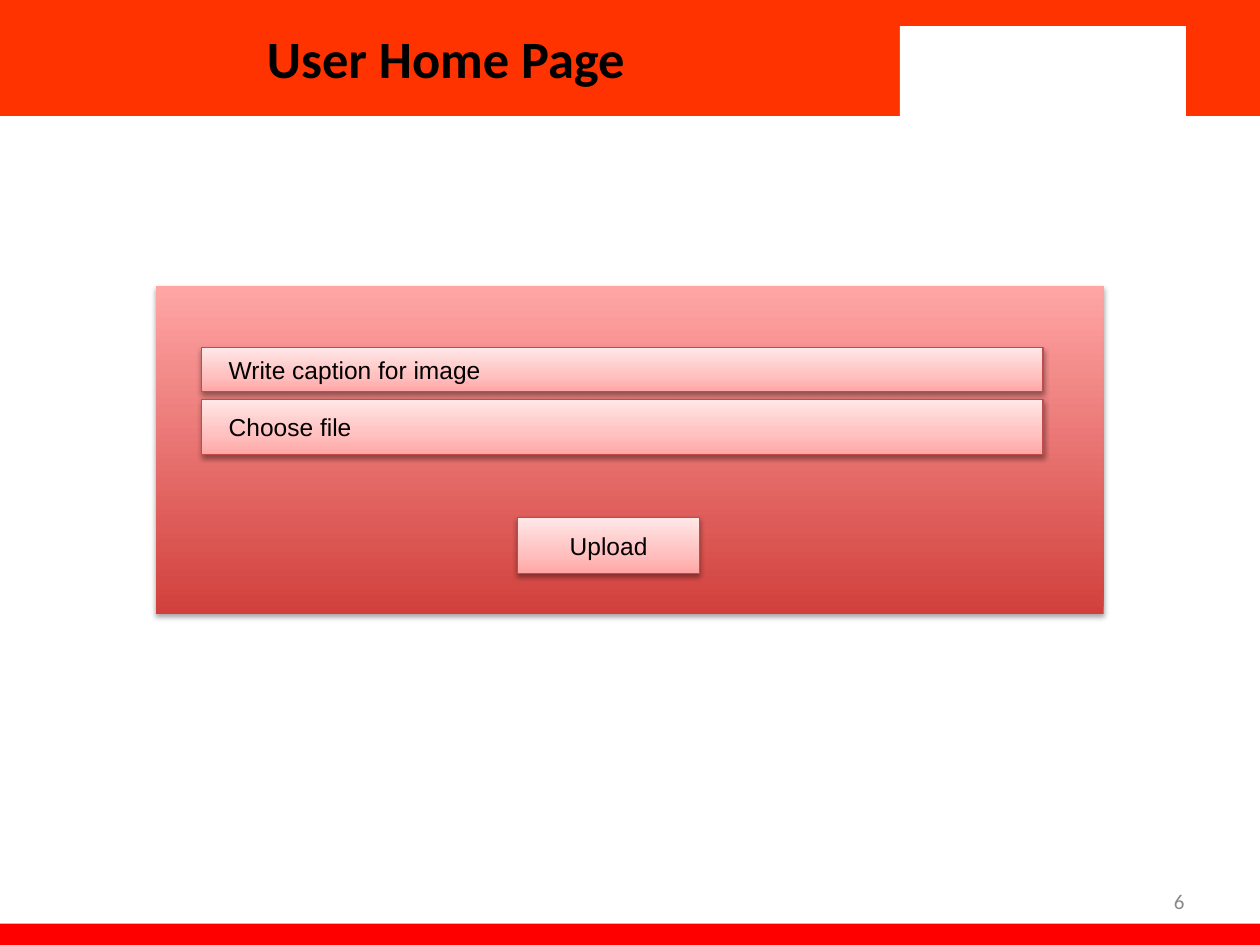
from lxml import etree
from pptx import Presentation
from pptx.dml.color import RGBColor
from pptx.enum.shapes import MSO_SHAPE
from pptx.enum.text import MSO_ANCHOR, PP_ALIGN
from pptx.oxml import parse_xml
from pptx.oxml.ns import nsdecls
from pptx.util import Cm, Pt

RECTANGLE = MSO_SHAPE.RECTANGLE
MIDDLE = MSO_ANCHOR.MIDDLE
LEFT, CENTER, RIGHT = PP_ALIGN.LEFT, PP_ALIGN.CENTER, PP_ALIGN.RIGHT

THEME = {
    "header": "FF3300", "footer": "FF0000", "white": "FFFFFF",
    "text": "000000", "muted": "898989", "outline": "BF4C48",
    "panel": [(0, "D1403C"), (100, "FFA6A5")],
    "field": [(0, "FFA6A5"), (35, "FFC0BF"), (100, "FFE7E7")],
    "heading_font": "Calibri", "body_font": "Arial",
    "title_size": 30, "body_size": 14, "number_size": 12,
}

PAGE_WIDTH, PAGE_HEIGHT = 25.4, 19.05
HEADER_HEIGHT, FOOTER_TOP = 2.34, 18.62
TAB_LEFT = 18.14

BANDS = [
    ("header", (0, 0, PAGE_WIDTH, HEADER_HEIGHT)),
    ("footer", (0, FOOTER_TOP, PAGE_WIDTH, PAGE_HEIGHT - FOOTER_TOP)),
    ("header", (TAB_LEFT, 0, PAGE_WIDTH - TAB_LEFT, HEADER_HEIGHT)),
    ("white", (TAB_LEFT, 0.53, 5.77, 1.9)),
]
TITLE = ("User Home Page", (0, 0, 17.98, HEADER_HEIGHT))
NUMBER = ("6", (18.21, 17.65, 5.92, 1.02))
PANEL = (3.15, 5.77, 19.1, 6.6)
CONTROLS = [
    ("Write caption for image", (4.06, 7.01, 16.97, 0.89), LEFT),
    ("Choose file", (4.06, 8.05, 16.97, 1.12), LEFT),
    ("Upload", (10.44, 10.44, 3.66, 1.12), CENTER),
]
FIELD_INDENT = 0.55


def color(name):
    return RGBColor.from_string(THEME[name])


def add_rectangle(page, area):
    box = page.shapes.add_shape(RECTANGLE, *map(Cm, area))
    box.shadow.inherit = False
    box.line.fill.background()
    return box


def add_band(page, fill, area):
    band = add_rectangle(page, area)
    band.fill.solid()
    band.fill.fore_color.rgb = color(fill)


def add_raised(page, area, stops, opacity, distance):
    box = add_rectangle(page, area)
    box.fill.background()
    properties = box._element.spPr
    stop_xml = "".join(
        f'<a:gs pos="{position * 1000}"><a:srgbClr val="{shade}"/></a:gs>'
        for position, shade in stops)
    gradient = parse_xml(
        f'<a:gradFill {nsdecls("a")} rotWithShape="1"><a:gsLst>{stop_xml}</a:gsLst>'
        '<a:lin ang="16200000" scaled="0"/></a:gradFill>')
    properties.replace(properties.find("a:noFill", properties.nsmap), gradient)
    effects = properties.find("a:effectLst", properties.nsmap)
    effects.append(etree.fromstring(
        f'<a:outerShdw {nsdecls("a")} blurRad="40000" dist="{distance}" dir="5400000" '
        f'rotWithShape="0"><a:srgbClr val="000000"><a:alpha val="{opacity * 1000}"/>'
        '</a:srgbClr></a:outerShdw>'))
    return box


def write(box, text, font, size, shade, align, bold=False):
    frame = box.text_frame
    frame.word_wrap = True
    frame.vertical_anchor = MIDDLE
    frame.text = text
    para = frame.paragraphs[0]
    para.alignment = align
    span = para.runs[0]
    span.font.name = THEME[font]
    span.font.size = Pt(THEME[size])
    span.font.bold = bold
    span.font.color.rgb = color(shade)


def add_text(page, content, *style, **options):
    text, area = content
    write(page.shapes.add_textbox(*map(Cm, area)), text, *style, **options)


def add_control(page, text, area, align):
    control = add_raised(page, area, THEME["field"], 38, 20000)
    control.line.color.rgb = color("outline")
    control.line.width = Pt(0.75)
    write(control, text, "body_font", "body_size", "text", align)
    frame = control.text_frame
    frame.margin_top = frame.margin_bottom = 0
    if align == LEFT:
        frame.margin_left = Cm(FIELD_INDENT)


def main():
    deck = Presentation()
    deck.slide_width, deck.slide_height = Cm(PAGE_WIDTH), Cm(PAGE_HEIGHT)
    page = deck.slides.add_slide(deck.slide_layouts[6])
    for band in BANDS:
        add_band(page, *band)
    add_text(page, TITLE, "heading_font", "title_size", "text", CENTER, bold=True)
    add_text(page, NUMBER, "heading_font", "number_size", "muted", RIGHT)
    add_raised(page, PANEL, THEME["panel"], 35, 23000)
    for control in CONTROLS:
        add_control(page, *control)
    deck.save("out.pptx")


if __name__ == "__main__":
    main()
